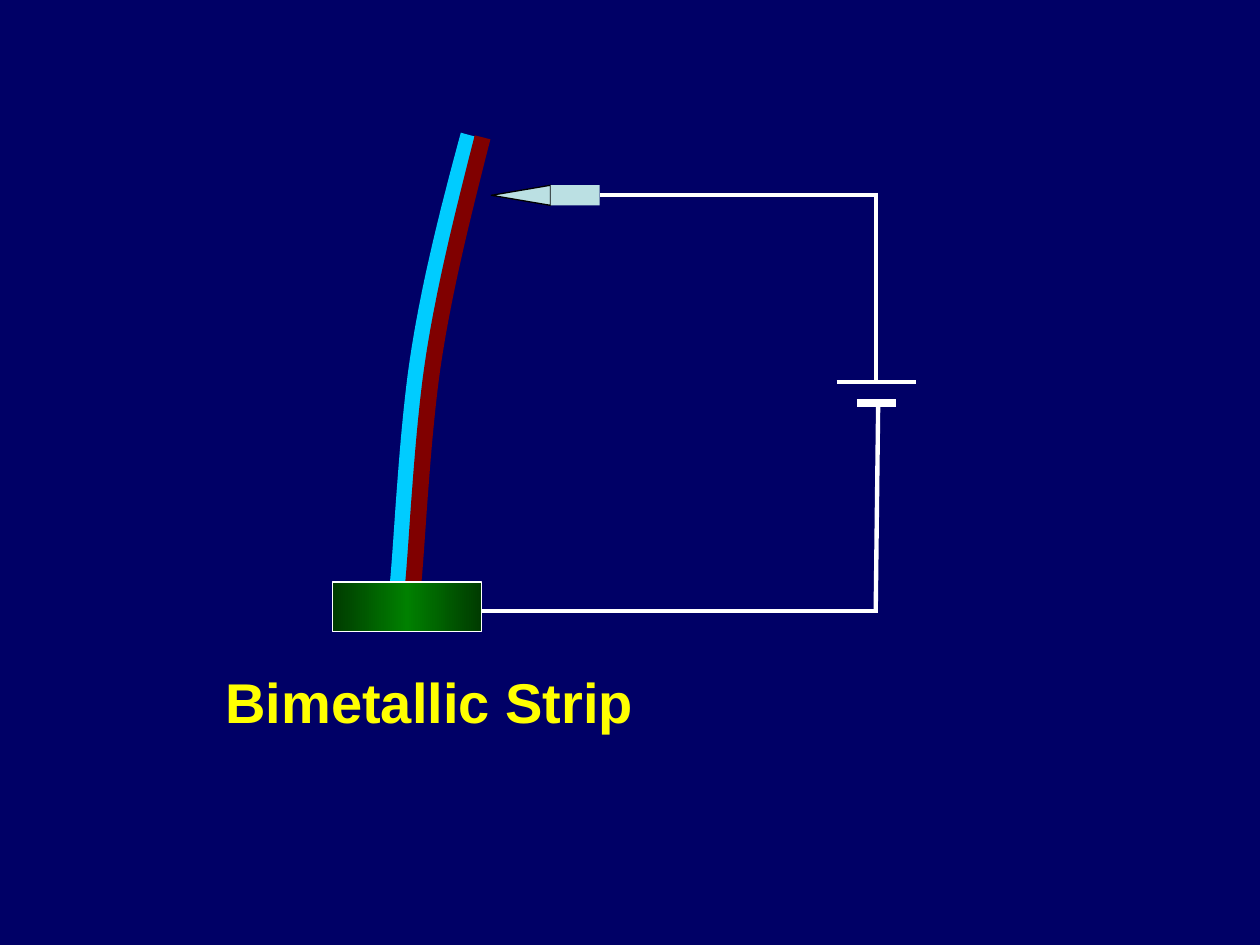
from lxml.etree import SubElement
from pptx import Presentation
from pptx.dml.color import RGBColor
from pptx.enum.shapes import MSO_CONNECTOR, MSO_SHAPE
from pptx.oxml.ns import qn
from pptx.util import Inches, Pt

WIDTH, HEIGHT = 10, 7.5
NAVY, WHITE, BLACK, YELLOW = "000066", "FFFFFF", "000000", "FFFF00"
PALE, GREEN, DARK_GREEN = "BBE0E3", "008000", "003B00"

# Each metal: colour and a chain of cubic curves (start, then three points per curve)
METALS = [
    ("00CCFF", [(3.72, 1.07), (3.56, 1.66), (3.41, 2.25), (3.32, 2.84),
                (3.23, 3.43), (3.19, 4.32), (3.16, 4.62)]),
    ("800000", [(3.83, 1.09), (3.68, 1.68), (3.53, 2.27), (3.44, 2.86),
                (3.35, 3.45), (3.31, 4.33), (3.28, 4.63)]),
]
METAL_WIDTH = 9.25
CURVE_STEPS = 24

TOP_WIRE, BOTTOM_WIRE = 1.55, 4.85
LONG_PLATE, SHORT_PLATE = 3.03, 3.2
BATTERY_X, WIRE_END = 6.95, 6.97
PROBE_LEFT, PROBE_WIDTH, PROBE_HEIGHT = 4.37, 0.39, 0.16
TIP_LENGTH = 0.47
BASE = (2.64, 4.62, 1.18, 0.39)
BASE_RIGHT = BASE[0] + BASE[2]
PROBE_RIGHT = PROBE_LEFT + PROBE_WIDTH

# Start, end, line width in points
WIRES = [
    ((BASE_RIGHT, BOTTOM_WIRE), (WIRE_END, BOTTOM_WIRE), 2.5),
    ((WIRE_END, SHORT_PLATE), (BATTERY_X, BOTTOM_WIRE), 2.5),
    ((BATTERY_X, TOP_WIRE - 0.02), (BATTERY_X, LONG_PLATE), 2.5),
    ((6.64, LONG_PLATE), (7.27, LONG_PLATE), 2),
    ((6.8, SHORT_PLATE), (7.11, SHORT_PLATE), 4.5),
]


def colour(value):
    return RGBColor.from_string(value)


def set_line(line, value, width):
    line.color.rgb = colour(value)
    line.width = Pt(width)


def add_text(page, text, area, size, value, font="Arial", bold=False):
    box = page.shapes.add_textbox(*map(Inches, area))
    box.text_frame.word_wrap = True
    para = box.text_frame.paragraphs[0]
    span = para.add_run()
    span.text = text
    span.font.name, span.font.size, span.font.bold = font, Pt(size), bold
    span.font.color.rgb = colour(value)


def add_block(page, kind, area, fill=None, line=None):
    block = page.shapes.add_shape(kind, *map(Inches, area))
    block.shadow.inherit = False
    if fill:
        block.fill.solid()
        block.fill.fore_color.rgb = colour(fill)
    if line:
        set_line(block.line, line, 0.75)
    else:
        block.line.fill.background()
    return block


def add_wire(page, start, end, width):
    wire = page.shapes.add_connector(
        MSO_CONNECTOR.STRAIGHT, *map(Inches, (*start, *end)))
    set_line(wire.line, WHITE, width)
    SubElement(wire._element.spPr, qn("a:effectLst"))
    return wire


def curve_points(chain):
    """Sample a chain of cubic Bezier curves, with its start point first."""
    yield chain[0]
    for first in range(0, len(chain) - 1, 3):
        controls = chain[first:first + 4]
        for step in range(1, CURVE_STEPS + 1):
            t = step / CURVE_STEPS
            weights = ((1 - t) ** 3, 3 * t * (1 - t) ** 2, 3 * t * t * (1 - t), t ** 3)
            yield tuple(sum(w * point[axis] for w, point in zip(weights, controls))
                        for axis in (0, 1))


def add_metal(page, value, chain):
    # The builder rounds to whole units, so points are given in EMU
    start, *others = [(Inches(x), Inches(y)) for x, y in curve_points(chain)]
    builder = page.shapes.build_freeform(*start)
    builder.add_line_segments(others, close=False)
    metal = builder.convert_to_shape()
    metal.shadow.inherit = False
    metal.fill.background()
    set_line(metal.line, value, METAL_WIDTH)


def shade(block, stops):
    """Fill a block with a horizontal gradient of (percent, colour) stops."""
    block.fill.gradient()
    block.fill.gradient_angle = 0
    stop_list = block._element.spPr.find(qn("a:gradFill")).find(qn("a:gsLst"))
    for old in list(stop_list):
        stop_list.remove(old)
    for percent, value in stops:
        stop = SubElement(stop_list, qn("a:gs"), pos=str(percent * 1000))
        SubElement(stop, qn("a:srgbClr"), val=value)


def main():
    deck = Presentation()
    deck.slide_width, deck.slide_height = Inches(WIDTH), Inches(HEIGHT)
    page = deck.slides.add_slide(deck.slide_layouts[6])
    page.background.fill.solid()
    page.background.fill.fore_color.rgb = colour(NAVY)

    add_text(page, "Bimetallic Strip", (1.69, 5.25, 3.78, 0.64), 32, YELLOW, bold=True)
    for value, chain in METALS:
        add_metal(page, value, chain)

    # The tip is drawn upright around its centre, then turned to point left
    tip_area = (PROBE_LEFT - (TIP_LENGTH + PROBE_HEIGHT) / 2,
                TOP_WIRE - TIP_LENGTH / 2, PROBE_HEIGHT, TIP_LENGTH)
    tip = add_block(page, MSO_SHAPE.ISOSCELES_TRIANGLE, tip_area, PALE, BLACK)
    tip.rotation = 270
    probe = add_block(page, MSO_SHAPE.RECTANGLE, (
        PROBE_LEFT, TOP_WIRE - PROBE_HEIGHT / 2, PROBE_WIDTH, PROBE_HEIGHT), PALE)

    probe_wire = add_wire(page, (PROBE_RIGHT, TOP_WIRE), (WIRE_END, TOP_WIRE), 2.5)
    probe_wire.begin_connect(probe, 3)
    for start, end, width in WIRES:
        add_wire(page, start, end, width)

    base = add_block(page, MSO_SHAPE.RECTANGLE, BASE, line=WHITE)
    shade(base, [(0, DARK_GREEN), (50, GREEN), (100, DARK_GREEN)])
    deck.save("out.pptx")


if __name__ == "__main__":
    main()
